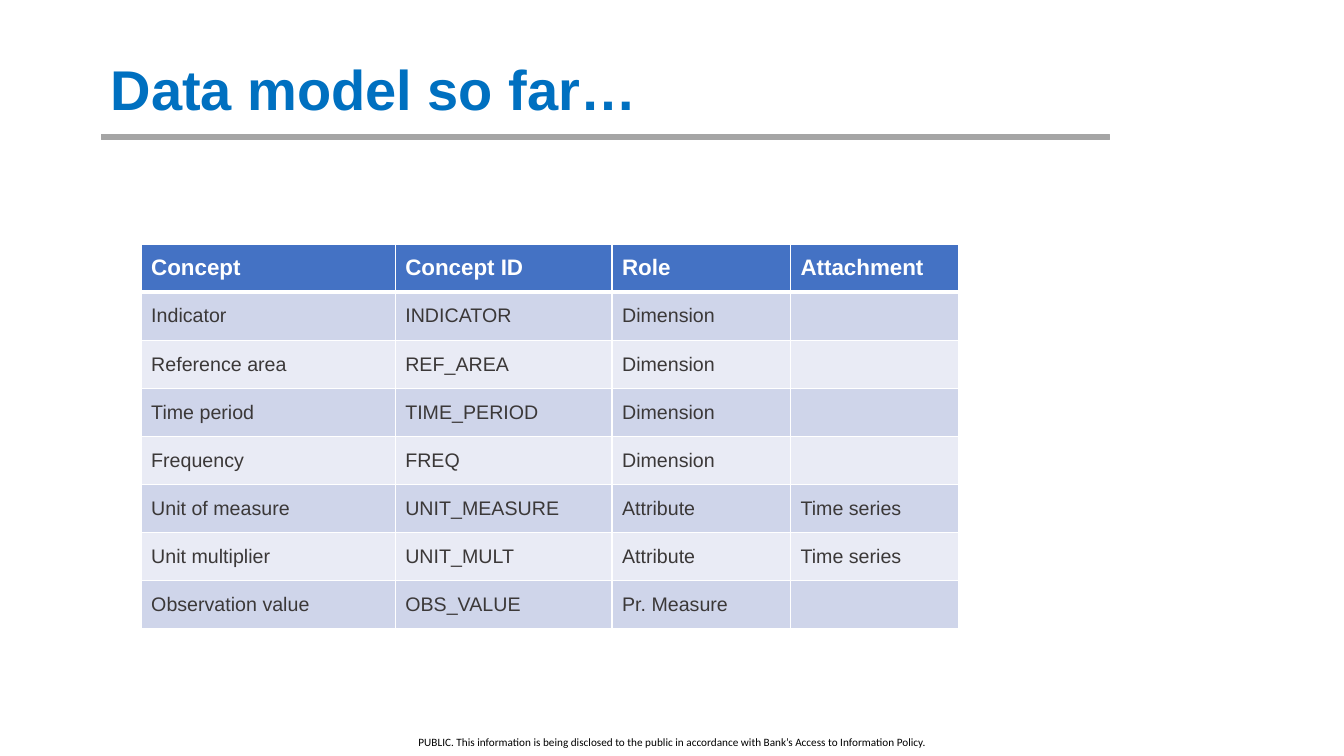
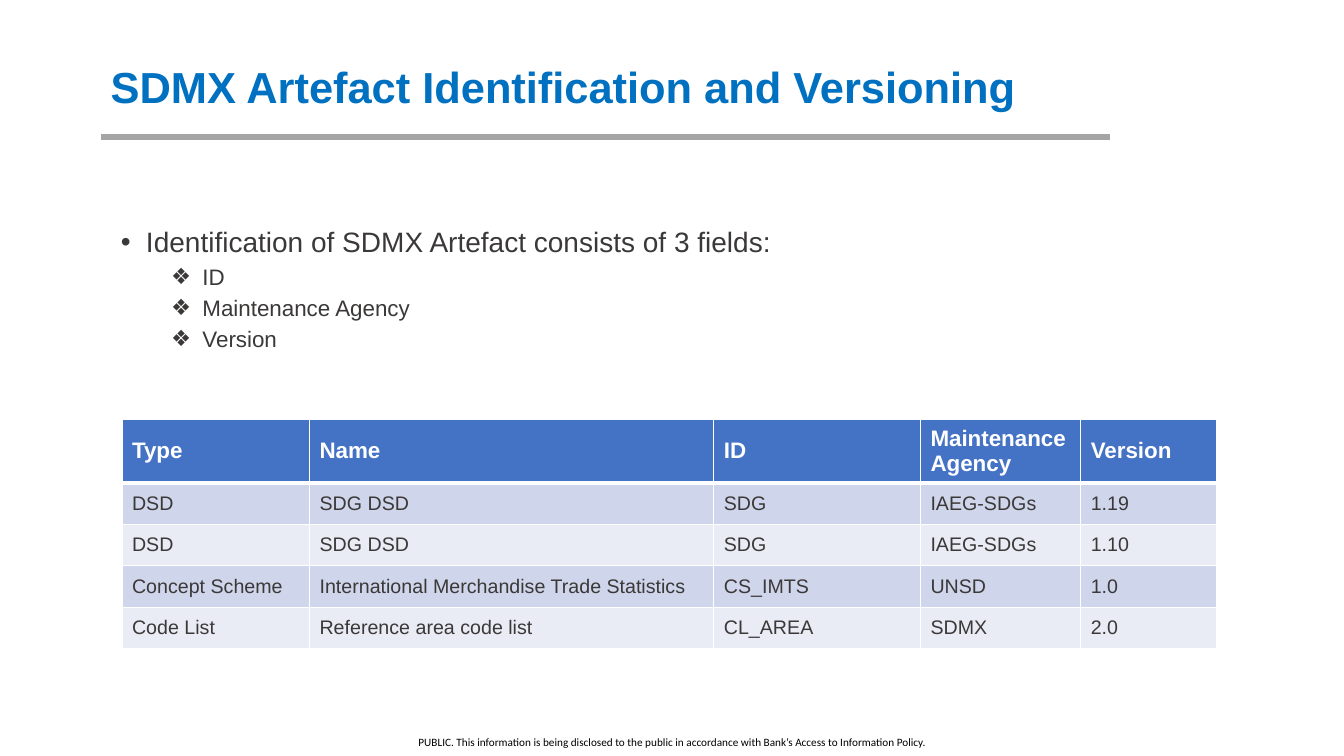
import pptx
import pptx.dml.color
import pptx.enum.shapes
import pptx.enum.text
import pptx.oxml
import pptx.oxml.ns
import pptx.util

Inches = pptx.util.Inches
Pt = pptx.util.Pt
MIDDLE = pptx.enum.text.MSO_ANCHOR.MIDDLE


def rgb(hex_code):
    return pptx.dml.color.RGBColor.from_string(hex_code)


def add_xml(parent, xml):
    """Append an a: element written without its namespace declaration."""
    head, tail = xml.split(" ", 1)
    parent.append(pptx.oxml.parse_xml(f"{head} {pptx.oxml.ns.nsdecls('a')} {tail}"))


class Deck:
    FONT, FOOTER_FONT = "Arial", "Calibri"
    TITLE, RULE, TEXT, BLACK, WHITE = "0070C0", "A5A5A5", "3B3838", "000000", "FFFFFF"
    HEADER, BANDS = "4472C4", ("CFD5EA", "E9EBF5")
    HEADER_SIZE, CELL_SIZE = 16, 14
    FOOTER = ("PUBLIC. This information is being disclosed to the public "
              "in accordance with Bank’s Access to Information Policy.")
    # Per level: bullet, size, left indent, hanging indent, space before
    LEVELS = (("•", 20, 0.25, 0.25, 10), ("❖", 16, 0.81, 0.31, 5))

    def __init__(self):
        self.prs = pptx.Presentation()
        self.prs.slide_width, self.prs.slide_height = Inches(13.33), Inches(7.5)
        self.s = None

    def new_slide(self, title, width, size, line_spacing=0.9):
        self.s = self.prs.slides.add_slide(self.prs.slide_layouts[6])
        self.footer()
        self.title(title, width, size, line_spacing)
        self.rule()

    def style(self, p, size, color, bold=False, font=FONT):
        for r in p.runs:
            r.font.name, r.font.size, r.font.bold = font, Pt(size), bold
            r.font.color.rgb = rgb(color)

    def text_box(self, x, y, w, h):
        tf = self.s.shapes.add_textbox(Inches(x), Inches(y), Inches(w), Inches(h)).text_frame
        tf.word_wrap = True
        return tf

    def title(self, text, width, size, line_spacing):
        tf = self.text_box(1, 0.5, width, 0.83)
        tf.vertical_anchor = MIDDLE
        tf.text = text
        p = tf.paragraphs[0]
        p.line_spacing = line_spacing
        self.style(p, size, self.TITLE, bold=True)

    def rule(self):
        # A thin upright bar turned on its side
        sp = self.s.shapes.add_shape(pptx.enum.shapes.MSO_SHAPE.RECTANGLE,
                                     Inches(5.98), Inches(-3.64), Inches(0.05), Inches(10))
        sp.rotation = 90
        sp.shadow.inherit = False
        sp.fill.solid()
        sp.fill.fore_color.rgb = rgb(self.RULE)
        sp.line.color.rgb = rgb(self.RULE)
        sp.line.width = Pt(1)

    def footer(self):
        tf = self.text_box(4.15, 7.3, 5.05, 0.13)
        tf.margin_left = tf.margin_right = tf.margin_top = tf.margin_bottom = 0
        tf.text = self.FOOTER
        self.style(tf.paragraphs[0], 8, self.BLACK, font=self.FOOTER_FONT)

    def bullets(self, x, y, w, h, items):
        """Items are (level, text) pairs."""
        tf = self.text_box(x, y, w, h)
        tf.text = "\n".join(text for _, text in items)
        for p, (level, _) in zip(tf.paragraphs, items):
            bullet, size, left, hanging, before = self.LEVELS[level]
            p.level, p.line_spacing, p.space_before = level, 0.9, Pt(before)
            self.style(p, size, self.TEXT)
            pPr = p._p.get_or_add_pPr()
            pPr.set("marL", str(Inches(left)))
            pPr.set("indent", str(-Inches(hanging)))
            add_xml(pPr, f'<a:buFont typeface="{self.FONT}"/>')
            add_xml(pPr, f'<a:buChar char="{bullet}"/>')

    def cell_borders(self, cell, top=1, bottom=1):
        tcPr = cell._tc.get_or_add_tcPr()
        for side, width in (("L", 1), ("R", 1), ("T", top), ("B", bottom)):
            add_xml(tcPr, f'<a:ln{side} w="{Pt(width)}"><a:solidFill>'
                          f'<a:srgbClr val="{self.WHITE}"/></a:solidFill></a:ln{side}>')

    def table(self, x, y, widths, height, row_height, rows):
        tbl = self.s.shapes.add_table(len(rows), len(widths), Inches(x), Inches(y),
                                      Inches(sum(widths)), Inches(height)).table
        for col, width in zip(tbl.columns, widths):
            col.width = Inches(width)
        for i, (row, values) in enumerate(zip(tbl.rows, rows)):
            row.height = Inches(row_height)
            header = i == 0
            for cell, value in zip(row.cells, values):
                cell.text = value
                cell.vertical_anchor = MIDDLE
                self.style(cell.text_frame.paragraphs[0],
                           self.HEADER_SIZE if header else self.CELL_SIZE,
                           self.WHITE if header else self.TEXT, bold=header)
                # The line under the header is heavier
                self.cell_borders(cell, top=3 if i == 1 else 1, bottom=3 if header else 1)
                cell.fill.solid()
                cell.fill.fore_color.rgb = rgb(self.HEADER if header else self.BANDS[(i - 1) % 2])

    def column_tables(self, x, y, widths, height, rows):
        """One single-column table per field, side by side."""
        for width, column in zip(widths, zip(*rows)):
            self.table(x, y, [width], height, height / len(rows), [[v] for v in column])
            x += width


def main():
    deck = Deck()

    # Data model
    deck.new_slide("Data model so far…", 8.92, 40)
    deck.column_tables(1.4, 2.42, (2.52, 2.15, 1.77, 1.67), 3.82, [
        ("Concept", "Concept ID", "Role", "Attachment"),
        ("Indicator", "INDICATOR", "Dimension", ""),
        ("Reference area", "REF_AREA", "Dimension", ""),
        ("Time period", "TIME_PERIOD", "Dimension", ""),
        ("Frequency", "FREQ", "Dimension", ""),
        ("Unit of measure", "UNIT_MEASURE", "Attribute", "Time series"),
        ("Unit multiplier", "UNIT_MULT", "Attribute", "Time series"),
        ("Observation value", "OBS_VALUE", "Pr. Measure", ""),
    ])

    # Identification and versioning
    deck.new_slide("SDMX Artefact Identification and Versioning", 10, 31, line_spacing=0.7)
    deck.bullets(1.1, 2.22, 10.97, 1.53, [
        (0, "Identification of SDMX Artefact consists of 3 fields:"),
        (1, "ID"),
        (1, "Maintenance Agency"),
        (1, "Version"),
    ])
    deck.table(1.21, 4.16, (1.86, 4.01, 2.05, 1.59, 1.35), 2.26, 0.41, [
        ("Type", "Name", "ID", "Maintenance Agency", "Version"),
        ("DSD", "SDG DSD", "SDG", "IAEG-SDGs", "1.19"),
        ("DSD", "SDG DSD", "SDG", "IAEG-SDGs", "1.10"),
        ("Concept Scheme", "International Merchandise Trade Statistics", "CS_IMTS", "UNSD", "1.0"),
        ("Code List", "Reference area code list", "CL_AREA", "SDMX", "2.0"),
    ])

    deck.prs.save("out.pptx")


if __name__ == "__main__":
    main()
